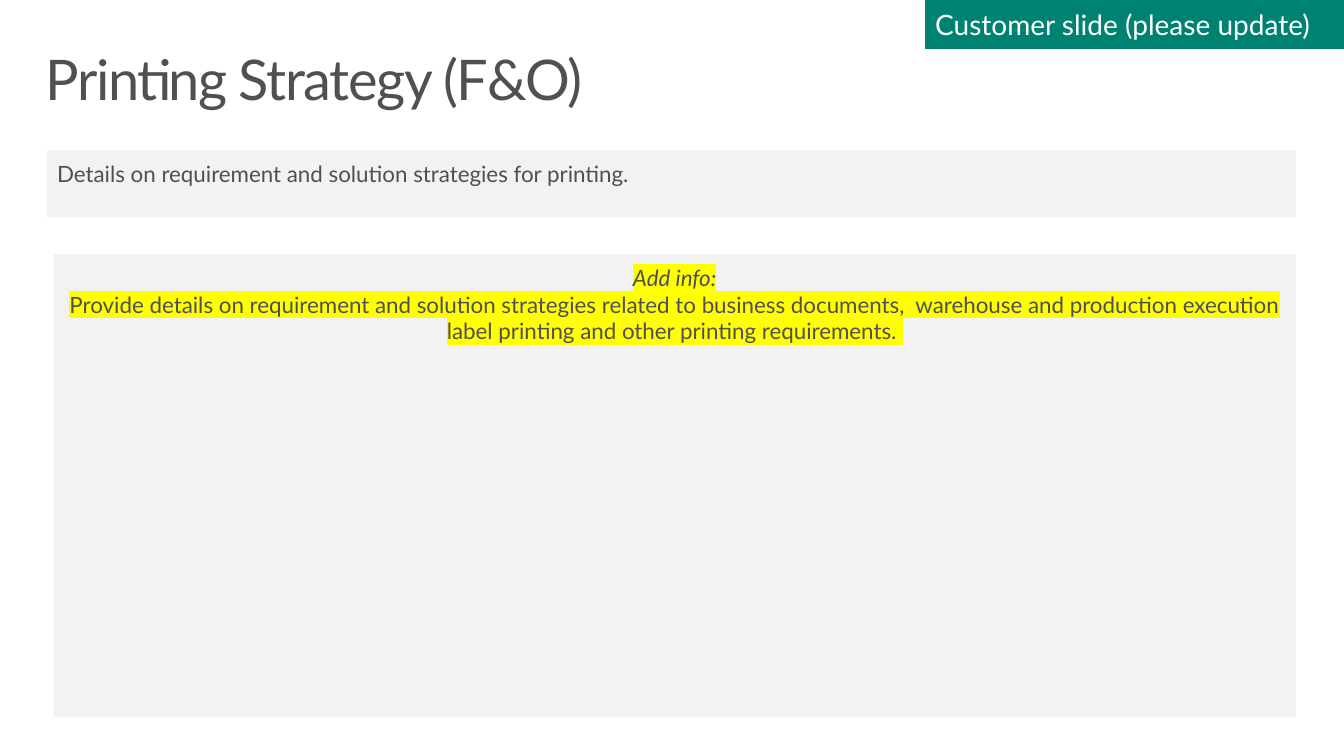
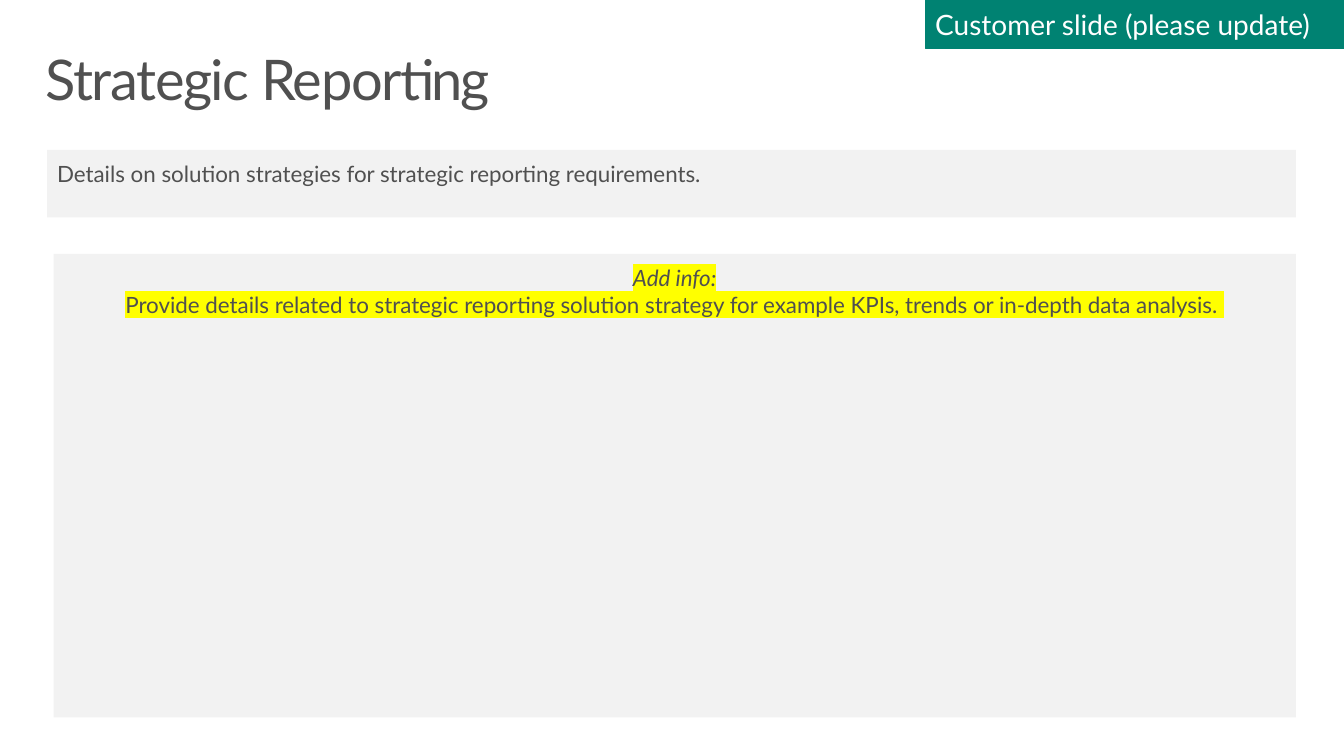
from pptx import Presentation
from pptx import util as u
from pptx.dml.color import RGBColor
from pptx.enum import shapes, text
from pptx.oxml import parse_xml
from pptx.oxml.ns import nsdecls

SLIDE_WIDTH = 33.87
RIGHT_EDGE = 32.66
PANEL_INSETS = (0.25, 0.25, 0.25, 0.13)

SLIDES = [
    (
        "Printing Strategy (F&O)",
        "Details on requirement and solution strategies for printing.",
        "Provide details on requirement and solution strategies related to business documents,  "
        "warehouse and production execution label printing and other printing requirements. ",
    ),
    (
        "Strategic Reporting",
        "Details on solution strategies for strategic reporting requirements.",
        "Provide details related to strategic reporting solution strategy for example KPIs, "
        "trends or in-depth data analysis. ",
    ),
]


def color(value):
    return RGBColor.from_string(value)


class Deck:
    font = "Lato"
    ink = "505050"
    panel_fill = "F2F2F2"
    accent = "008272"
    marker = "FFFF00"

    def __init__(self):
        self.presentation = Presentation()
        self.presentation.slide_width = u.Cm(SLIDE_WIDTH)
        self.presentation.slide_height = u.Cm(19.05)
        self.slide = None

    def new_slide(self):
        self.slide = self.presentation.slides.add_slide(self.presentation.slide_layouts[6])

    def frame(self, shape, insets, anchor=text.MSO_ANCHOR.TOP):
        frame = shape.text_frame
        frame.word_wrap = True
        frame.vertical_anchor = anchor
        left, top, right, bottom = insets
        frame.margin_left, frame.margin_top = u.Cm(left), u.Cm(top)
        frame.margin_right, frame.margin_bottom = u.Cm(right), u.Cm(bottom)
        return frame

    def add_words(self, paragraph, words, size, ink=None, align=text.PP_ALIGN.LEFT, italic=False):
        run = paragraph.add_run()
        run.text = words
        paragraph.alignment = align
        font = paragraph.font
        font.name, font.size, font.italic = self.font, u.Pt(size), italic
        font.color.rgb = color(ink or self.ink)
        return run

    def rectangle(self, left, top, width, height, fill):
        shape = self.slide.shapes.add_shape(
            shapes.MSO_SHAPE.RECTANGLE, u.Cm(left), u.Cm(top), u.Cm(width), u.Cm(height))
        shape.shadow.inherit = False
        shape.fill.solid()
        shape.fill.fore_color.rgb = color(fill)
        shape.line.fill.background()
        return shape

    def title(self, words):
        box = self.slide.shapes.add_textbox(u.Cm(0.74), u.Cm(1.07), u.Cm(32.39), u.Cm(2.49))
        paragraph = self.frame(box, (0.41, 0.25, 0.41, 0.25)).paragraphs[0]
        paragraph.line_spacing = 0.9
        run = self.add_words(paragraph, words, 40)
        run.font._element.set("spc", "-100")

    def summary(self, words):
        left = 1.19
        shape = self.rectangle(left, 3.78, RIGHT_EDGE - left, 1.7, self.panel_fill)
        self.add_words(self.frame(shape, PANEL_INSETS).paragraphs[0], words, 16)

    def tag(self, words):
        left = 23.32
        shape = self.rectangle(left, 0, SLIDE_WIDTH - left, 1.22, self.accent)
        shape.line.color.rgb = color(self.accent)
        shape.line.width = u.Pt(0.25)
        frame = self.frame(shape, (0.25, 0.13, 0.25, 0.13), text.MSO_ANCHOR.MIDDLE)
        self.add_words(frame.paragraphs[0], words, 20, "FFFFFF")

    def highlight(self, run):
        run._r.get_or_add_rPr().append(parse_xml(
            f'<a:highlight {nsdecls("a")}><a:srgbClr val="{self.marker}"/></a:highlight>'))

    def instructions(self, heading, words):
        left = 1.35
        shape = self.rectangle(left, 6.4, RIGHT_EDGE - left, 11.68, self.panel_fill)
        frame = self.frame(shape, PANEL_INSETS)
        center = text.PP_ALIGN.CENTER
        self.highlight(self.add_words(frame.paragraphs[0], heading, 16, align=center, italic=True))
        self.highlight(self.add_words(frame.add_paragraph(), words, 16, align=center))


def main():
    deck = Deck()
    for title, summary, instructions in SLIDES:
        deck.new_slide()
        deck.title(title)
        deck.summary(summary)
        deck.tag("Customer slide (please update)")
        deck.instructions("Add info:", instructions)
    deck.presentation.save("out.pptx")


if __name__ == "__main__":
    main()
